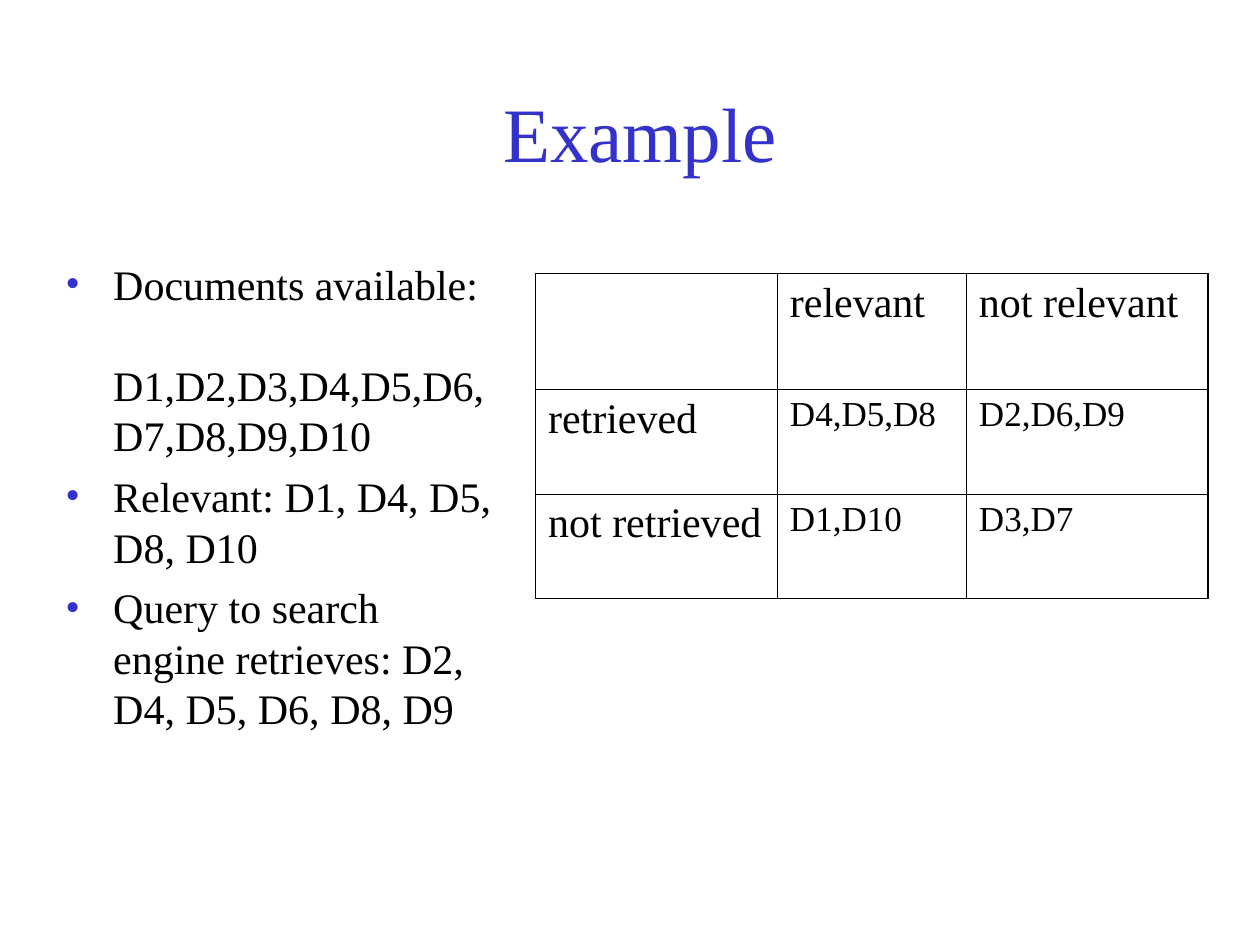
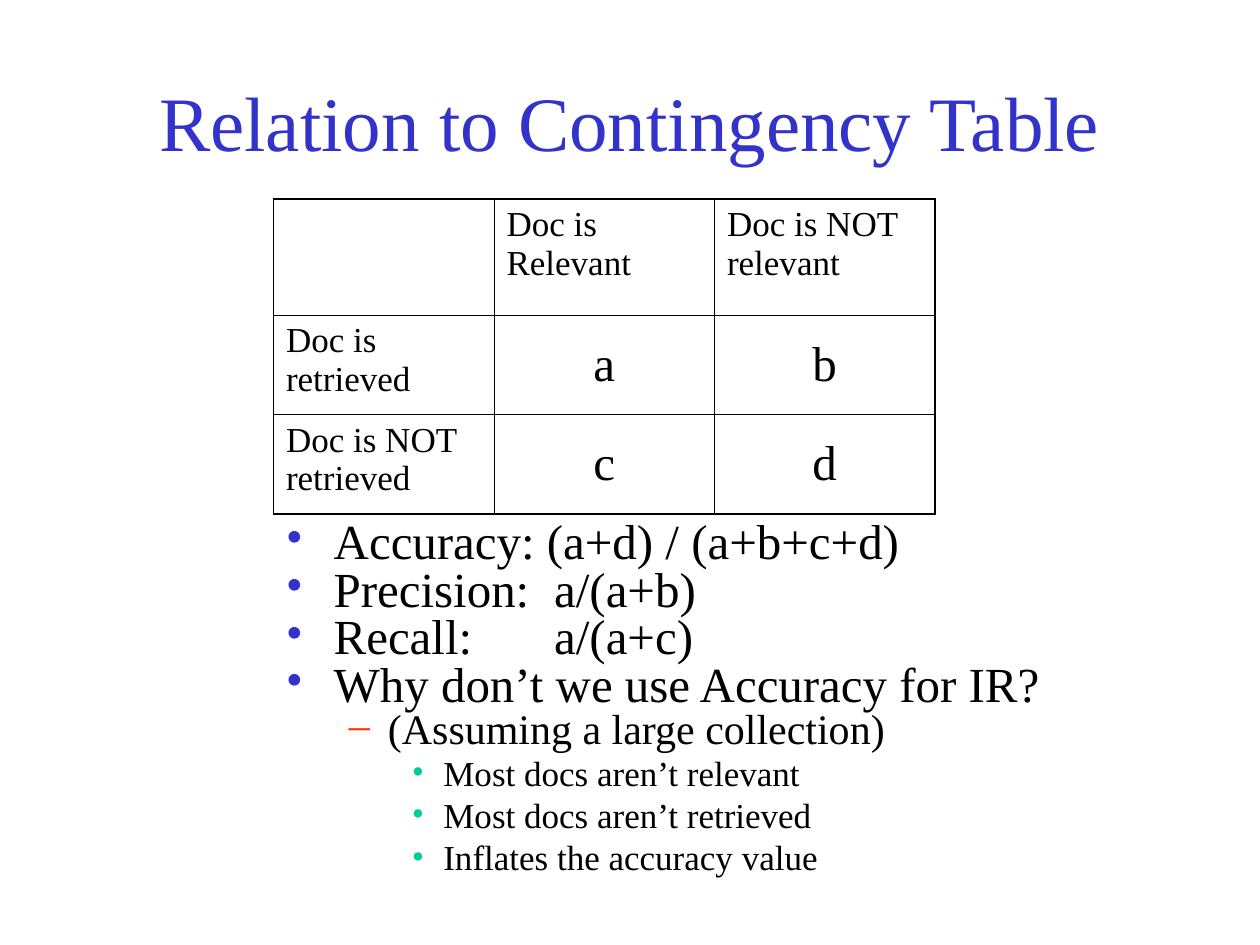
from lxml.etree import SubElement as Sub
from pptx import Presentation
from pptx.dml.color import RGBColor
from pptx.enum.text import MSO_ANCHOR as Anchor, PP_ALIGN as Align
from pptx.oxml.ns import qn
from pptx.util import Inches, Pt

FONT = "Times New Roman"
BLACK, BLUE, RED, GREEN = "000000", "3333CC", "FF3300", "00CC99"
THICK, THIN = 1.08, 0.45
LEVELS = [
    dict(left=0.38, hang=0.38, mark="•", tint=BLUE),
    dict(left=0.81, hang=0.31, mark="–", tint=RED),
    dict(left=1.25, hang=0.25, mark="•", tint=GREEN),
]


def color(code):
    return RGBColor.from_string(code)


def write(para, text, size=24, tint=BLACK, align=Align.LEFT, before=0, lines=None):
    para.alignment = align
    para.space_before = Pt(before)
    if lines:
        para.line_spacing = lines
    run = para.add_run()
    run.text = text
    font = run.font
    font.name, font.size = FONT, Pt(size)
    font.color.rgb = color(tint)


def mark_up(para, level, plain=False, tab=None):
    style = LEVELS[level]
    para.level = level
    props = para._p.get_or_add_pPr()
    props.set("marL", str(Inches(style["left"])))
    props.set("indent", str(0 if plain else -Inches(style["hang"])))
    if plain:
        Sub(props, qn("a:buNone"))
    else:
        tint = Sub(props, qn("a:buClr"))
        Sub(tint, qn("a:srgbClr"), val=style["tint"])
        Sub(props, qn("a:buFont"), typeface=FONT)
        Sub(props, qn("a:buChar"), char=style["mark"])
    if tab:
        stops = Sub(props, qn("a:tabLst"))
        Sub(stops, qn("a:tab"), pos=str(Inches(tab)), algn="l")


def add_slide(deck, title, left, top):
    slide = deck.slides.add_slide(deck.slide_layouts[5])
    head = slide.shapes.title
    head.left, head.top = Inches(left), Inches(top)
    head.width, head.height = Inches(8.5), Inches(1.25)
    frame = head.text_frame
    frame.vertical_anchor = Anchor.MIDDLE
    write(frame.paragraphs[0], title, size=44, tint=BLUE, align=Align.CENTER)
    return slide


def add_list(slide, box, items):
    frame = slide.shapes.add_textbox(*map(Inches, box)).text_frame
    frame.word_wrap = True
    for i, (text, level, marks, style) in enumerate(items):
        para = frame.add_paragraph() if i else frame.paragraphs[0]
        mark_up(para, level, **marks)
        write(para, text, **{**style, "before": style["before"] if i else 0})


def set_edge(cell, side, width):
    line = Sub(cell._tc.get_or_add_tcPr(), qn(f"a:ln{side}"), w=str(Pt(width)))
    fill = Sub(line, qn("a:solidFill"))
    Sub(fill, qn("a:srgbClr"), val=BLACK)


def add_grid(slide, left, top, cols, rows, texts, head, body):
    size = len(rows), len(cols)
    box = map(Inches, (left, top, sum(cols), sum(rows)))
    grid = slide.shapes.add_table(*size, *box).table
    grid.first_row = grid.horz_banding = False
    for col, width in zip(grid.columns, cols):
        col.width = Inches(width)
    for row, height in zip(grid.rows, rows):
        row.height = Inches(height)
    for r, line in enumerate(texts):
        for c, text in enumerate(line):
            cell = grid.cell(r, c)
            outer = dict(L=c == 0, R=c == size[1] - 1, T=r == 0, B=r == size[0] - 1)
            for side, edge in outer.items():
                set_edge(cell, side, THICK if edge else THIN)
            cell.fill.background()
            style = body if r and c else head
            if style.get("align") == Align.CENTER:
                cell.vertical_anchor = Anchor.MIDDLE
            if text:
                write(cell.text_frame.paragraphs[0], text, **style)


def add_example(deck):
    slide = add_slide(deck, "Example", 0.83, 0.42)
    texts = [
        ["", "relevant", "not relevant"],
        ["retrieved", "D4,D5,D8", "D2,D6,D9"],
        ["not retrieved", "D1,D10", "D3,D7"],
    ]
    add_grid(slide, 4.25, 2.17, [1.92, 1.5, 1.92], [0.92, 0.83, 0.83], texts,
             dict(size=24), dict(size=20))
    style = dict(size=24, before=6)
    add_list(slide, (0.42, 2, 3.58, 4.5), [
        ("Documents available:", 0, {}, style),
        ("D1,D2,D3,D4,D5,D6,D7,D8,D9,D10", 0, dict(plain=True), dict(size=24, before=29)),
        ("Relevant: D1, D4, D5, D8, D10", 0, {}, style),
        ("Query to search engine retrieves: D2, D4, D5, D6, D8, D9", 0, {}, style),
    ])


def add_relation(deck):
    slide = add_slide(deck, "Relation to Contingency Table", 0.75, 0.33)
    main = dict(size=28, before=7, lines=0.6)
    sub = dict(size=24, before=6, lines=0.6)
    leaf = dict(size=20, before=5, lines=0.8)
    add_list(slide, (2.17, 4.17, 6.25, 3.33), [
        ("Accuracy: (a+d) / (a+b+c+d)", 0, {}, main),
        ("Precision:\ta/(a+b)", 0, dict(tab=2.13), main),
        ("Recall:\ta/(a+c)", 0, dict(tab=2.13), main),
        ("Why don’t we use Accuracy for IR?", 0, {}, main),
        ("(Assuming a large collection)", 1, {}, sub),
        ("Most docs aren’t relevant", 2, {}, leaf),
        ("Most docs aren’t retrieved", 2, {}, leaf),
        ("Inflates the accuracy value", 2, {}, leaf),
    ])
    texts = [
        ["", "Doc is Relevant", "Doc is NOT relevant"],
        ["Doc is retrieved", "a", "b"],
        ["Doc is NOT retrieved", "c", "d"],
    ]
    add_grid(slide, 2.17, 1.58, [1.75] * 3, [0.92, 0.79, 0.79], texts,
             dict(size=20), dict(size=28, align=Align.CENTER))


def main():
    deck = Presentation()
    deck.slide_width, deck.slide_height = Inches(10), Inches(7.5)
    add_example(deck)
    add_relation(deck)
    deck.save("out.pptx")


if __name__ == "__main__":
    main()
